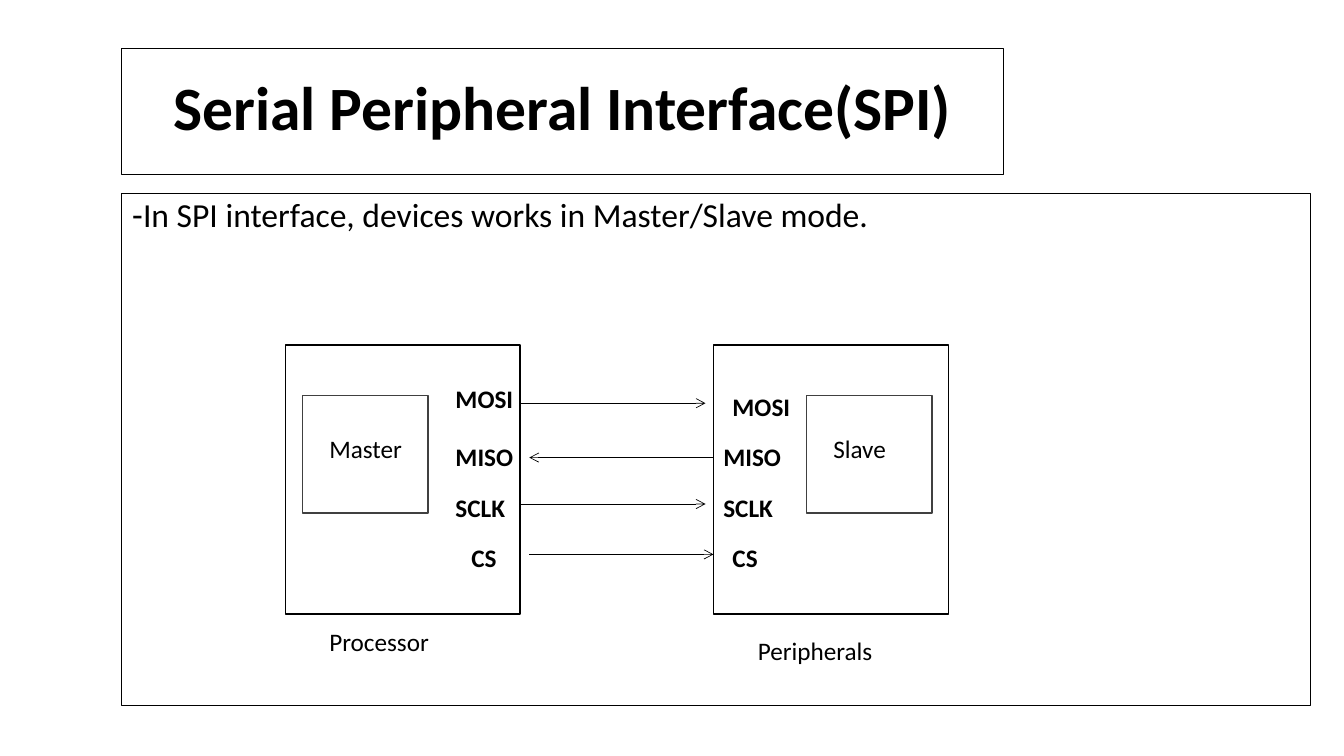
from dataclasses import dataclass

from lxml import etree
from pptx import Presentation
from pptx import util as u
from pptx.dml.color import RGBColor
from pptx.enum import shapes, text
from pptx.oxml.ns import qn


@dataclass(frozen=True)
class Theme:
    font: str = "Calibri"
    ink: RGBColor = RGBColor(0x00, 0x00, 0x00)
    core: RGBColor = RGBColor(0x40, 0x40, 0x40)
    title: int = 44
    body: int = 24
    label: int = 18
    thin: float = 0.5
    medium: float = 0.75
    outline: float = 1


theme = Theme()


def write(frame, words, size=theme.label, bold=False, align=text.PP_ALIGN.LEFT,
          anchor=text.MSO_ANCHOR.TOP, wrap=True):
    frame.word_wrap = wrap
    frame.auto_size = text.MSO_AUTO_SIZE.NONE
    frame.vertical_anchor = anchor
    para = frame.paragraphs[0]
    para.alignment = align
    span = para.add_run()
    span.text = words
    span.font.name = theme.font
    span.font.size = u.Pt(size)
    span.font.bold = bold
    span.font.color.rgb = theme.ink
    return para


def place(box, left, top, width, height):
    box.left, box.top = u.Cm(left), u.Cm(top)
    box.width, box.height = u.Cm(width), u.Cm(height)


deck = Presentation()
deck.slide_width, deck.slide_height = u.Cm(33.87), u.Cm(19.05)
page = deck.slides.add_slide(deck.slide_layouts[0])
title, body = page.placeholders

place(title, 3.07, 1.22, 22.23, 3.18)
title.line.color.rgb = theme.ink
title.line.width = u.Pt(theme.medium)
write(title.text_frame, "Serial Peripheral Interface(SPI)", size=theme.title, bold=True,
      align=text.PP_ALIGN.CENTER, anchor=text.MSO_ANCHOR.BOTTOM)
title.text_frame.margin_bottom = u.Cm(0.81)

place(body, 3.07, 4.88, 29.95, 12.9)
body.line.color.rgb = theme.ink
body.line.width = u.Pt(theme.thin)
point = write(body.text_frame, "In SPI interface, devices works in Master/Slave mode.",
              size=theme.body, align=text.PP_ALIGN.JUSTIFY)
point.line_spacing = 0.9
point.space_before = u.Pt(10)
settings = point._p.get_or_add_pPr()
settings.set("marL", "0")
settings.set("indent", "0")
etree.SubElement(settings, qn("a:buChar")).set("char", "-")

device_top, device_width, device_height = 8.69, 5.92, 6.78
core_top, core_width, core_height = 9.96, 3.17, 2.97
label_height = 1.02
signals = ["MOSI", "MISO", "SCLK", "CS"]
devices = [
    ("Processor", 7.19, (8.05, 15.67), "Master", 7.62,
     [(11.23, 9.53), (11.23, 11), (11.23, 12.27), (11.63, 13.54)]),
    ("Peripherals", 17.98, (18.85, 15.88), "Slave", 20.32,
     [(18.21, 9.73), (17.98, 11), (17.98, 12.27), (18.21, 13.54)]),
]

for caption, device_left, caption_at, role, core_left, pins in devices:
    outlines = [
        (device_left, device_top, device_width, device_height, theme.ink),
        (core_left, core_top, core_width, core_height, theme.core),
    ]
    for left, top, width, height, color in outlines:
        box = page.shapes.add_shape(shapes.MSO_SHAPE.RECTANGLE, u.Cm(left), u.Cm(top),
                                    u.Cm(width), u.Cm(height))
        box.shadow.inherit = False
        box.fill.background()
        box.line.color.rgb = color
        box.line.width = u.Pt(theme.outline)

    labels = [(signal, pin, 2.34, True) for signal, pin in zip(signals, pins)]
    labels.append((role, (core_left + 0.43, 10.8), 2.36, False))
    labels.append((caption, caption_at, 4, False))
    for words, (left, top), width, bold in labels:
        box = page.shapes.add_textbox(u.Cm(left), u.Cm(top), u.Cm(width), u.Cm(label_height))
        write(box.text_frame, words, bold=bold)

wires = [
    (13.13, 17.78, 10.16),
    (17.98, 13.34, 11.53),
    (13.13, 17.78, 12.7),
    (13.34, 17.98, 13.97),
]
for start, end, height in wires:
    wire = page.shapes.add_connector(shapes.MSO_CONNECTOR.STRAIGHT, u.Cm(start), u.Cm(height),
                                     u.Cm(end), u.Cm(height))
    wire.line.color.rgb = theme.ink
    wire.line.width = u.Pt(theme.thin)
    etree.SubElement(wire.line._get_or_add_ln(), qn("a:tailEnd")).set("type", "arrow")
    etree.SubElement(wire._element.spPr, qn("a:effectLst"))

deck.save("out.pptx")
